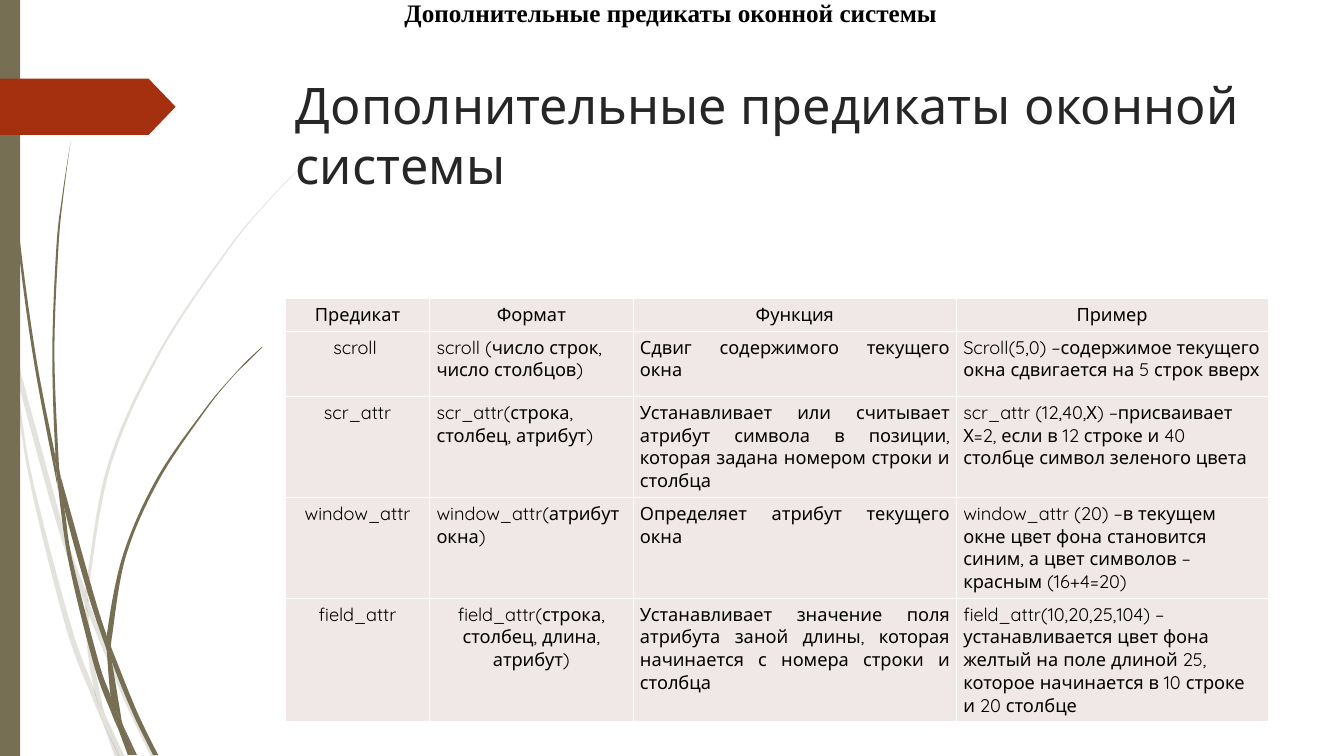
from lxml.etree import SubElement as Sub
from pptx import Presentation
from pptx.dml.color import RGBColor as RGB
from pptx.enum.shapes import MSO_SHAPE as Kind
from pptx.enum.text import MSO_ANCHOR as Anchor, MSO_AUTO_SIZE as Auto, PP_ALIGN as Align
from pptx.oxml.ns import qn
from pptx.util import Pt

TITLE = "Дополнительные предикаты оконной системы"
ROWS = [
    ("Предикат", "Формат", "Функция", "Пример"),
    ("scroll ", "scroll (число строк, число столбцов)",
     "Сдвиг содержимого текущего окна",
     "Scroll(5,0) –содержимое текущего окна сдвигается на 5 строк вверх"),
    ("scr_attr", "scr_attr(строка, столбец, атрибут)",
     "Устанавливает или считывает атрибут символа в позиции, "
     "которая задана номером строки и столбца",
     "scr_attr (12,40,Х) –присваивает Х=2, если в 12 строке и 40 столбце "
     "символ зеленого цвета"),
    ("window_attr", "window_attr(атрибут окна)",
     "Определяет атрибут текущего окна",
     "window_attr (20) –в текущем окне цвет фона становится синим, "
     "а цвет символов –красным (16+4=20)"),
    ("field_attr", "field_attr(строка, столбец, длина, атрибут)",
     "Устанавливает значение поля атрибута заной длины, "
     "которая начинается с номера строки и столбца",
     "field_attr(10,20,25,104) – устанавливается цвет фона желтый на поле "
     "длиной 25, которое начинается в 10 строке и 20 столбце"),
]
WIDTHS = (103, 145.4, 231.1, 222.6)
HEIGHTS = (15.8, 46.6, 62.5, 62.5, 78.3)
ALIGNS = (Align.CENTER, Align.LEFT, Align.JUSTIFY, Align.LEFT)
CENTERED = {(4, 1)}

THEME = {
    "font": "Quicksand", "serif": "Times New Roman",
    "title": 36, "cell": 13, "head": 18,
    "stem": "766F54", "arrow": "A53010",
    "ink": "262626", "black": "000000", "fill": "F0E8E7", "rule": "FFFFFF",
}

# Each piece of a grass blade: one edge, then the other edge back
PALE = [
    ([(7.9, 252), (5.8, 231.8), (0, 203)], [(0, 215.3), (7.2, 247.7), (7.9, 252)]),
    ([(12.2, 270.7), (41, 375.8), (60.5, 431.3)], [(61.2, 421.9), (44.6, 374.4), (10.1, 248.4)]),
    ([(63.4, 439.2), (88.6, 499.7), (108, 540.7)],
     [(111.6, 540.7), (91.4, 498.2), (66.2, 437), (63.4, 429.1)]),
    ([(75.6, 511.9), (85.7, 540.7)], [(89.3, 540.7), (75.6, 511.9)]),
    ([(7.9, 252), (20.2, 338.4), (46.8, 447.1), (66.2, 499), (72.7, 514.1)],
     [(71.3, 509), (67, 491.8), (50.4, 445.7), (22.3, 337.7), (12.2, 270.7), (7.9, 252)]),
    ([(60.5, 431.3), (62.6, 465.1), (67, 491.8), (69.1, 498.2), (75.6, 511.9)],
     [(74.2, 508.3), (65.5, 465.1), (63.4, 439.2), (60.5, 431.3)]),
    ([(63.4, 429.1), (63.4, 420.5), (79.2, 332.6), (115.2, 251.3), (164.9, 176.4),
      (193, 142.6), (208.8, 126), (224.6, 110.2)],
     [(224.6, 110.2), (208.1, 126), (193, 141.8), (164.2, 175.7), (113.8, 250.6),
      (77, 331.9), (61.2, 420.5), (61.2, 421.9)]),
    ([(72.7, 514.1), (82.1, 540.7)], [(85.7, 540.7), (72.7, 514.1)]),
    ([(63.4, 439.2), (63.4, 429.1)], [(61.2, 421.9), (60.5, 431.3)]),
    ([(67, 491.8), (71.3, 509), (72.7, 514.1), (85, 540.7)],
     [(85.7, 540.7), (75.6, 511.9), (69.1, 498.2), (67, 491.8)]),
]
DARK = [
    ([(2.2, 0), (2.2, 34.6), (5, 79.2), (12.2, 167.8), (23.8, 255.6), (40.3, 343.4), (41, 346.3)],
     [(39.6, 329), (39.6, 326.2), (25.9, 255.6), (13.7, 167), (5.8, 78.5), (3.6, 34.6), (2.2, 0)]),
    ([(43.2, 339.8), (46.1, 363.6), (63.4, 426.2), (76.3, 464.4)],
     [(76.3, 455.8), (76.3, 454.3), (67, 424.8), (43.2, 339.8)]),
    ([(79.2, 461.5), (79.9, 472.3), (95, 509.8), (109.4, 539.3)],
     [(113, 539.3), (97.9, 508.3), (81.4, 467.3), (79.2, 461.5)]),
    ([(41, 343.4), (49, 401), (67, 474.5), (79.9, 509.8), (84.2, 519.8)],
     [(83.5, 516.2), (79.2, 497.5), (70.6, 473), (51.8, 400.3), (46.1, 363.6), (41, 343.4)]),
    ([(50.4, 101.5), (44.6, 139), (40.3, 176.4), (37.4, 251.3), (39.6, 323.3), (43.2, 339.8)],
     [(43.2, 339.8), (41.8, 326.2), (38.9, 251.3), (41.8, 176.4), (45.4, 139), (50.4, 101.5)]),
    ([(87.8, 517.7), (95.8, 539.3)], [(97.9, 539.3), (87.8, 517.7)]),
    ([(39.6, 323.3), (39.6, 326.2), (41, 343.4), (46.1, 363.6)], [(43.2, 339.8), (39.6, 323.3)]),
    ([(187.2, 247.7), (176.4, 257.8), (166.3, 268.6), (146.9, 291.6), (112.3, 341.3),
      (87.8, 396.7), (76.3, 454.3), (79.2, 461.5)],
     [(79.9, 455.8), (90, 397.4), (113.8, 342.7), (147.6, 292.3), (166.3, 269.3),
      (177.1, 258.5), (187.9, 247.7)]),
    ([(84.2, 519.8), (91.4, 539.3)], [(94.3, 539.3), (84.2, 519.8)]),
    ([(76.3, 464.4), (79.2, 498.2), (83.5, 508.3), (87.8, 517.7)],
     [(87.1, 515.5), (79.9, 472.3), (78.5, 468.7), (76.3, 464.4)]),
    ([(76.3, 464.4), (79.9, 472.3)], [(79.2, 461.5), (76.3, 454.3), (76.3, 464.4)]),
    ([(79.2, 497.5), (83.5, 516.2), (84.2, 519.8), (93.6, 539.3)],
     [(95.8, 539.3), (87.8, 517.7), (83.5, 508.3), (79.2, 497.5)]),
]


def color(key):
    return RGB.from_string(THEME[key])


def paint(shape, key, alpha=100):
    shape.shadow.inherit = False
    shape.fill.solid()
    shape.fill.fore_color.rgb = color(key)
    shape.line.fill.background()
    if alpha < 100:
        tint = shape._element.spPr.find(qn("a:solidFill"))[0]
        Sub(tint, qn("a:alpha"), val=str(alpha * 1000))


def curve(dots):
    """Bezier points, three a step, of a smooth curve through the dots."""
    ends = [dots[0], *dots, dots[-1]]
    out = []
    for quad in zip(ends, ends[1:], ends[2:], ends[3:]):
        out += zip(*((b + (c - a) / 6, c - (d - b) / 6, c) for a, b, c, d in zip(*quad)))
    return out


def blade(shapes, edges, alpha):
    """Draw the outline as lines, then join each three into one curve."""
    one, two = edges
    link = [two[0]] if two[0] != one[-1] else []
    dots = curve(one) + link + curve(two)
    form = shapes.build_freeform(Pt(one[0][0]), Pt(one[0][1]), scale=1.0)
    form.add_line_segments([(Pt(x), Pt(y)) for x, y in dots], close=True)
    shape = form.convert_to_shape()
    paint(shape, "stem", alpha)
    lines = list(shape._element.iter(qn("a:lnTo")))
    first = 3 * (len(one) - 1)
    del lines[first:first + len(link)]
    for i in range(0, len(lines), 3):
        head, *rest = lines[i:i + 3]
        head.tag = qn("a:cubicBezTo")
        for line in rest:
            head.append(line[0])
            line.getparent().remove(line)


def write(frame, text, face, size, ink, align=Align.LEFT, bold=False):
    para = frame.paragraphs[0]
    para.alignment = align
    run = para.add_run()
    run.text = text
    put(run.font, name=THEME[face], size=Pt(THEME[size]), bold=bold)
    run.font.color.rgb = color(ink)


def put(item, **vals):
    for name, value in vals.items():
        setattr(item, name, value)


def border(cell):
    props = cell._tc.get_or_add_tcPr()
    for i, side in enumerate(("lnL", "lnR", "lnT", "lnB")):
        line = props.makeelement(qn("a:" + side), {"w": str(Pt(0.45))})
        Sub(Sub(line, qn("a:solidFill")), qn("a:srgbClr"), val=THEME["rule"])
        props.insert(i, line)


def grid(shapes):
    table = shapes.add_table(len(ROWS), len(WIDTHS), Pt(204), Pt(213),
                             Pt(sum(WIDTHS)), Pt(sum(HEIGHTS))).table
    for col, width in zip(table.columns, WIDTHS):
        col.width = Pt(width)
    for r, (texts, height) in enumerate(zip(ROWS, HEIGHTS)):
        table.rows[r].height = Pt(height)
        for c, text in enumerate(texts):
            cell = table.cell(r, c)
            mid = r == 0 or (r, c) in CENTERED
            put(cell, margin_left=Pt(5), margin_right=Pt(5),
                margin_top=Pt(3.6), margin_bottom=Pt(3.6))
            cell.fill.solid()
            cell.fill.fore_color.rgb = color("fill")
            border(cell)
            write(cell.text_frame, text, "font", "cell", "black",
                  Align.CENTER if mid else ALIGNS[c])


def main():
    deck = Presentation()
    put(deck, slide_width=Pt(960.5), slide_height=Pt(540))
    shapes = deck.slides.add_slide(deck.slide_layouts[5]).shapes
    for group, alpha in ((PALE, 20), (DARK, 100)):
        for edges in group:
            blade(shapes, edges, alpha)
    paint(shapes.add_shape(Kind.RECTANGLE, 0, 0, Pt(14.4), Pt(540)), "stem")
    arrow = shapes.add_shape(Kind.PENTAGON, 0, Pt(56.2), Pt(125.5), Pt(40.2))
    arrow.adjustments[0] = 0.48
    paint(arrow, "arrow")

    title = shapes.title
    put(title, left=Pt(204.2), top=Pt(49), width=Pt(702), height=Pt(101))
    put(title.text_frame, word_wrap=True, auto_size=Auto.NONE, vertical_anchor=Anchor.TOP)
    write(title.text_frame, TITLE, "font", "title", "ink")
    shapes._spTree.append(title._element)  # text stays above the grass

    grid(shapes)
    head = shapes.add_textbox(Pt(282), Pt(-5.5), Pt(396), Pt(46.5)).text_frame
    put(head, word_wrap=False, margin_top=Pt(3.6), margin_bottom=0, vertical_anchor=Anchor.TOP)
    write(head, TITLE, "serif", "head", "black", bold=True)
    deck.save("out.pptx")


if __name__ == "__main__":
    main()
